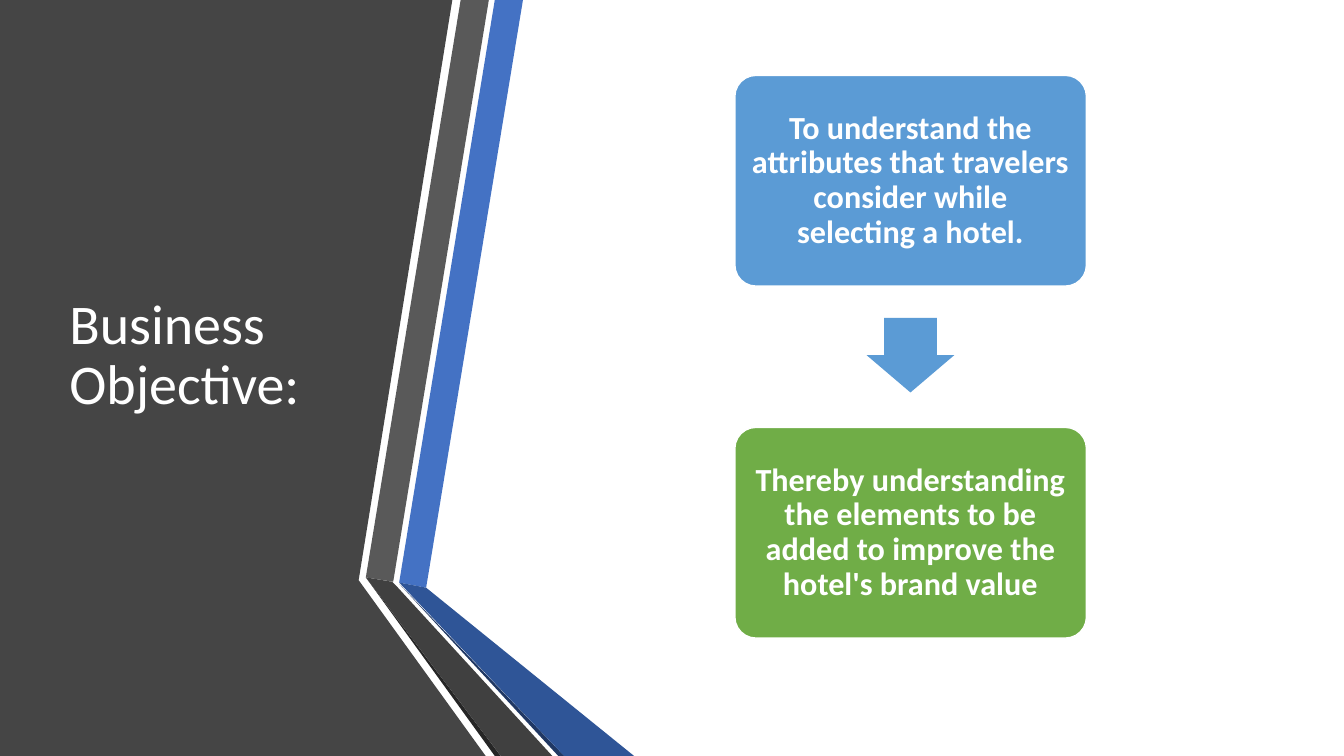
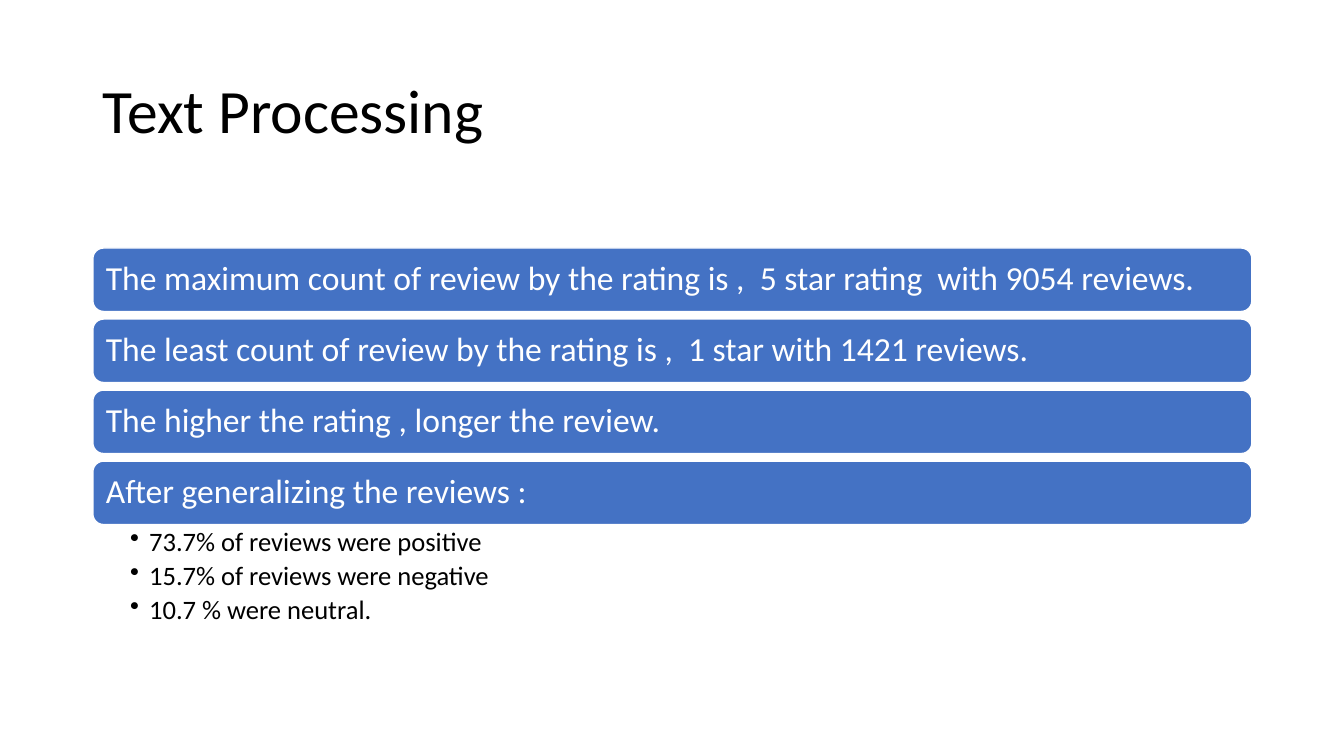
from dataclasses import dataclass

from lxml.etree import SubElement
from pptx import Presentation
from pptx.dml.color import RGBColor
from pptx.enum.shapes import MSO_SHAPE as Shape
from pptx.enum.text import MSO_ANCHOR as Anchor, PP_ALIGN as Align
from pptx.oxml.ns import qn
from pptx.util import Cm, Pt


@dataclass(frozen=True)
class Theme:
    font: str = "Calibri"
    white: str = "FFFFFF"
    black: str = "000000"
    panel: str = "454545"
    gray: str = "595959"
    gray_fold: str = "404040"
    gray_edge: str = "262626"
    blue: str = "4472C4"
    blue_fold: str = "2F5597"
    blue_edge: str = "203864"
    sky: str = "5B9BD5"
    green: str = "70AD47"
    title_size: float = 44
    side_title_size: float = 40
    card_size: float = 23
    bar_size: float = 24
    bullet_size: float = 19
    line_spacing: float = 0.9


WIDTH, HEIGHT = 33.87, 19.05
THEME = Theme()
BLOCK_INSETS = (0.25, 0.25, 0.25, 0.25)


def write_text(shape, *lines, size, color, bold=False, align=Align.LEFT,
               anchor=Anchor.MIDDLE, insets=(0.25, 0.13, 0.25, 0.13),
               bullet_indent=None, space_after=0):
    """Fill a shape with one paragraph per line; insets and indent in cm."""
    frame = shape.text_frame
    frame.word_wrap = True
    frame.vertical_anchor = anchor
    (frame.margin_left, frame.margin_top,
     frame.margin_right, frame.margin_bottom) = map(Cm, insets)
    for index, line in enumerate(lines):
        paragraph = frame.add_paragraph() if index else frame.paragraphs[0]
        paragraph.alignment = align
        paragraph.line_spacing = THEME.line_spacing
        paragraph.space_after = Pt(space_after)
        if bullet_indent:
            properties = paragraph._p.get_or_add_pPr()
            properties.set("marL", str(Cm(bullet_indent)))
            properties.set("indent", str(-Cm(bullet_indent)))
            SubElement(properties, qn("a:buChar")).set("char", "•")
        run = paragraph.add_run()
        run.text = line
        run.font.name = THEME.font
        run.font.size = Pt(size)
        run.font.bold = bold
        run.font.color.rgb = RGBColor.from_string(color)


class Deck:
    """Holds the presentation and the slide being built; lengths in cm."""

    def __init__(self):
        self.presentation = Presentation()
        self.presentation.slide_width = Cm(WIDTH)
        self.presentation.slide_height = Cm(HEIGHT)
        self.slide = None

    def new_slide(self):
        blank = self.presentation.slide_layouts[6]
        self.slide = self.presentation.slides.add_slide(blank)

    def paint(self, shape, fill, line=None):
        shape.shadow.inherit = False
        shape.fill.solid()
        shape.fill.fore_color.rgb = RGBColor.from_string(fill)
        if line:
            shape.line.color.rgb = RGBColor.from_string(line)
            shape.line.width = Pt(1)
        else:
            shape.line.fill.background()

    def text(self, box, *lines, **text_format):
        shape = self.slide.shapes.add_textbox(*map(Cm, box))
        write_text(shape, *lines, **text_format)

    def title(self, box, text, size=THEME.title_size, color=THEME.black):
        self.text(box, text, size=size, color=color)

    def polygon(self, points, fill):
        start, *others = [(Cm(x), Cm(y)) for x, y in points]
        builder = self.slide.shapes.build_freeform(*start)
        builder.add_line_segments(others, close=True)
        self.paint(builder.convert_to_shape(), fill)

    def block(self, box, text, fill, corner, **text_format):
        shape = self.slide.shapes.add_shape(Shape.ROUNDED_RECTANGLE, *map(Cm, box))
        shape.adjustments[0] = corner
        self.paint(shape, fill, THEME.white)
        write_text(shape, text, color=THEME.white, insets=BLOCK_INSETS, **text_format)

    def down_arrow(self, box, fill):
        shape = self.slide.shapes.add_shape(Shape.DOWN_ARROW, *map(Cm, box))
        shape.adjustments[0], shape.adjustments[1] = 0.6, 0.5
        self.paint(shape, fill)


def build_objective(deck):
    deck.new_slide()

    # Dark side panel and folded ribbons
    ribbons = [
        (THEME.panel, [(0, 0), (11.4, 0), (9.04, 14.62), (12.24, HEIGHT), (0, HEIGHT)]),
        (THEME.blue, [(10.06, 14.68), (10.74, 14.81), (13.18, 0), (12.47, 0)]),
        (THEME.gray, [(12.32, 0), (11.61, 0), (9.22, 14.55), (9.91, 14.66)]),
        (THEME.gray_edge, [(9.22, 14.55), (12.47, HEIGHT), (12.62, HEIGHT)]),
        (THEME.blue_edge, [(10.06, 14.71), (14.07, HEIGHT), (14.22, HEIGHT)]),
        (THEME.blue_fold, [(10.06, 14.68), (14.22, HEIGHT), (15.98, HEIGHT),
                           (10.74, 14.81)]),
        (THEME.gray_fold, [(13.92, HEIGHT), (10.03, 14.81), (9.88, 14.66),
                           (9.22, 14.55), (12.62, HEIGHT)]),
    ]
    for fill, points in ribbons:
        deck.polygon(points, fill)
    deck.title((1.5, 1.9, 7.72, 14.17), "Business Objective:",
               size=THEME.side_title_size, color=THEME.white)

    # Two cards joined by an arrow
    cards = [
        (1.9, THEME.sky, "To understand the attributes that travelers consider "
                         "while selecting a hotel."),
        (10.77, THEME.green, "Thereby understanding the elements to be added "
                             "to improve the hotel's brand value"),
    ]
    for top, fill, text in cards:
        deck.block((18.52, top, 8.86, 5.31), text, fill, corner=0.1,
                   size=THEME.card_size, bold=True, align=Align.CENTER)
    deck.down_arrow((21.84, 8.01, 2.21, 1.88), THEME.sky)


def build_text_processing(deck):
    deck.new_slide()
    left, width = 2.34, 29.21
    deck.title((left, 1.02, width, 3.69), "Text Processing")

    # Evenly stacked finding bars
    first_top, pitch, height = 6.25, 1.79, 1.6
    findings = [
        "The maximum count of review by the rating is ,  5 star rating  with 9054 reviews.",
        "The least count of review by the rating is ,  1 star with 1421 reviews.",
        "The higher the rating , longer the review.",
        "After generalizing the reviews :",
    ]
    for index, finding in enumerate(findings):
        deck.block((left, first_top + index * pitch, width, height), finding,
                   THEME.blue, corner=0.17, size=THEME.bar_size)

    # Sentiment shares under the last bar
    deck.text((left, 13.23, width, 2.77),
              "73.7% of reviews were positive",
              "15.7% of reviews were negative",
              "10.7 % were neutral.",
              size=THEME.bullet_size, color=THEME.black, anchor=Anchor.TOP,
              insets=(0.94, 0.08, 0.48, 0.08), bullet_indent=0.48, space_after=3.8)


def main():
    deck = Deck()
    build_objective(deck)
    build_text_processing(deck)
    deck.presentation.save("out.pptx")


if __name__ == "__main__":
    main()
